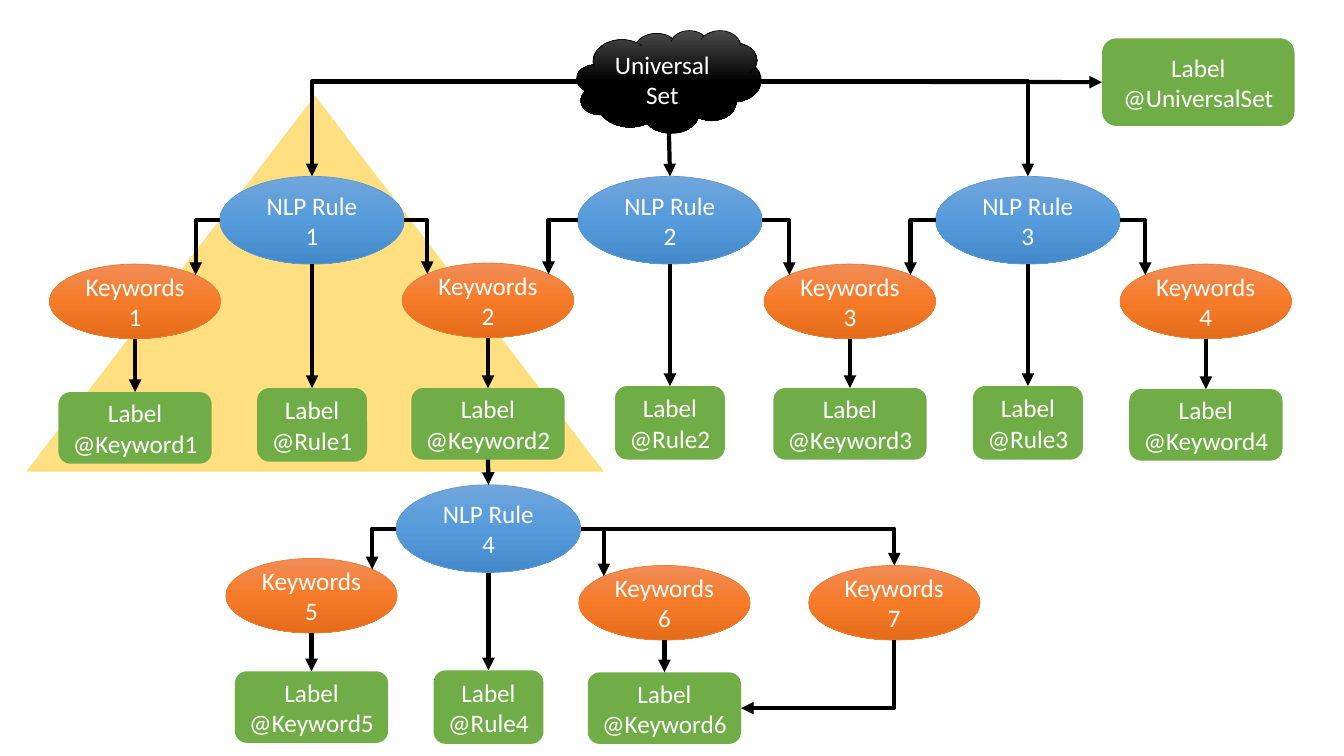
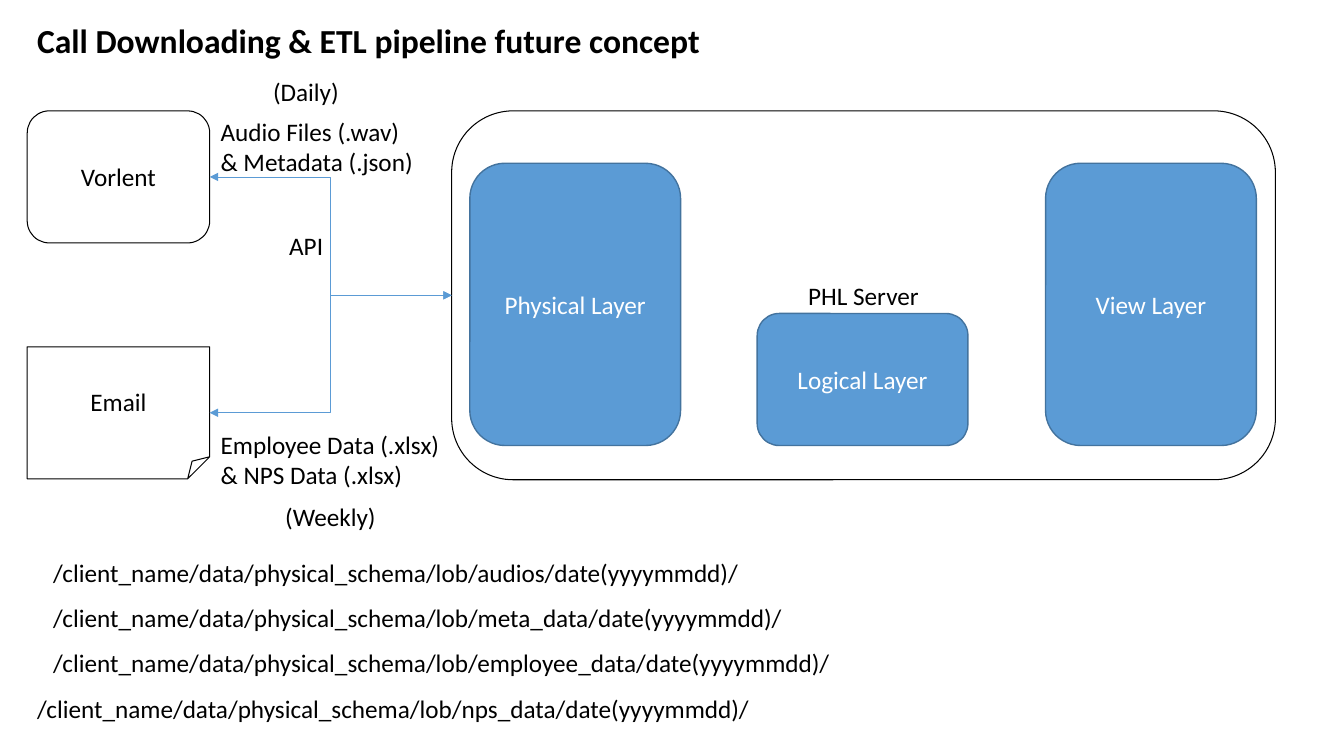
import copy
from typing import Any, NamedTuple, Optional

import lxml.etree
import pptx
import pptx.dml.color
import pptx.enum.shapes
import pptx.enum.text
import pptx.oxml.ns
import pptx.util

Inches = pptx.util.Inches
Pt = pptx.util.Pt
Form = pptx.enum.shapes.MSO_SHAPE
Link = pptx.enum.shapes.MSO_CONNECTOR
Align = pptx.enum.text.PP_ALIGN
qn = pptx.oxml.ns.qn

FONT = "Calibri"
HEX = {
    "white": "FFFFFF", "black": "000000", "gold": "FFC000",
    "green": "70AD47", "blue": "5B9BD5", "navy": "43739E", "orange": "ED7D31",
}
FADES = {
    "rule": ("71A6DB", "559BDB", "448ACA"),
    "word": ("F18C57", "F67B28", "E56C19"),
    "root": ("4B4B4B", "000000", "000000"),
}
TOP, LEFT, BOTTOM, RIGHT = range(4)
# Share of an ellipse's box that lies outside its diagonal points
INSET = (1 - 0.5 ** 0.5) / 2


class Kind(NamedTuple):
    form: Any
    wide: float
    high: float
    fill: Optional[str] = None
    line: Optional[str] = None
    weight: float = 0.5
    ink: str = "white"
    fade: Optional[str] = None


class Word(NamedTuple):
    num: int
    x: float
    y: float
    tag: Optional[float]  # top of the label below


class Rule(NamedTuple):
    num: int
    x: float
    y: float
    tag: float
    words: tuple[int, ...]


class Note(NamedTuple):
    text: str
    x: float
    y: float
    wide: float
    high: float = 0.4
    size: int = 18
    bold: bool = False
    wrap: bool = False


KINDS = {
    "rule": Kind(Form.OVAL, 1.83, 0.87, line="blue", fade="rule"),
    "word": Kind(Form.OVAL, 1.7, 0.74, line="orange", fade="word"),
    "root": Kind(Form.CLOUD, 1.83, 1.02, line="black", fade="root"),
    "top tag": Kind(Form.ROUNDED_RECTANGLE, 1.91, 0.87, "green"),
    "rule tag": Kind(Form.ROUNDED_RECTANGLE, 1.09, 0.73, "green"),
    "word tag": Kind(Form.ROUNDED_RECTANGLE, 1.52, 0.71, "green"),
    "source": Kind(Form.ROUNDED_RECTANGLE, 1.81, 1.31, None, "black", 0.75, "black"),
    "mail": Kind(Form.FOLDED_CORNER, 1.81, 1.31, None, "black", 0.75, "black"),
    "server": Kind(Form.ROUNDED_RECTANGLE, 8.17, 3.66, None, "black", 0.75, "black"),
    "tall layer": Kind(Form.ROUNDED_RECTANGLE, 2.09, 2.8, "blue", "navy", 1),
    "low layer": Kind(Form.ROUNDED_RECTANGLE, 2.09, 1.31, "blue", "navy", 1),
}

WORDS = [
    Word(1, 0.49, 2.62, 3.89), Word(2, 3.99, 2.61, 3.85),
    Word(3, 7.58, 2.62, 3.85), Word(4, 11.11, 2.62, 3.86),
    Word(5, 2.24, 5.54, 6.66), Word(6, 5.74, 5.61, 6.67),
    Word(7, 8.02, 5.61, None),
]
RULES = [
    Rule(1, 2.18, 1.75, 3.85, (1, 2)), Rule(2, 5.73, 1.75, 3.83, (2, 3)),
    Rule(3, 9.28, 1.75, 3.83, (3, 4)), Rule(4, 3.93, 4.81, 6.65, (5, 6)),
]

BASE = "/client_name/data/physical_schema/lob/"
NOTES = [
    Note("Call Downloading & ETL pipeline future concept", 0.27, 0.15, 6.84, 0.5, 24, True),
    Note("Audio Files (.wav)\n& Metadata (.json)", 2.09, 1.1, 2.13, 0.71),
    Note("Employee Data (.xlsx)\n& NPS Data (.xlsx)", 2.09, 4.21, 2.39, 0.71),
    Note("API", 2.77, 2.24, 0.54),
    Note("(Daily)", 2.61, 0.71, 0.86),
    Note("(Weekly)", 2.73, 4.92, 1.11),
] + [
    Note(f"{BASE}{name}/date(yyyymmdd)/", x, y, 7.97, wrap=True)
    for name, x, y in (
        ("audios", 0.43, 5.48), ("meta_data", 0.43, 5.93),
        ("employee_data", 0.43, 6.37), ("nps_data", 0.27, 6.83),
    )
]


def tint(name: str) -> pptx.dml.color.RGBColor:
    return pptx.dml.color.RGBColor.from_string(HEX.get(name, name))


def write(shape: Any, text: str, ink: str, size: int = 18,
          bold: bool = False, align: Any = Align.LEFT) -> None:
    frame = shape.text_frame
    frame.text = text
    for para in frame.paragraphs:
        para.alignment = align
        para.font.name = FONT
        para.font.size = Pt(size)
        para.font.bold = bold
        para.font.color.rgb = tint(ink)


def blend(shape: Any, fade: str) -> None:
    """Fill from top to bottom through three colours."""
    fill = shape.fill
    fill.gradient()
    fill.gradient_angle = 270
    stops = shape.element.spPr.find(".//" + qn("a:gsLst"))
    stops.append(copy.deepcopy(stops[-1]))
    for stop, spot, shade in zip(fill.gradient_stops, (0, 0.5, 1), FADES[fade]):
        stop.position = spot
        stop.color.rgb = tint(shade)


def place(slide: Any, name: str, text: str, x: float, y: float) -> Any:
    kind = KINDS[name]
    shape = slide.shapes.add_shape(
        kind.form, Inches(x), Inches(y), Inches(kind.wide), Inches(kind.high))
    shape.shadow.inherit = False
    if kind.fade:
        blend(shape, kind.fade)
    elif kind.fill:
        shape.fill.solid()
        shape.fill.fore_color.rgb = tint(kind.fill)
    else:
        shape.fill.background()
    if kind.line:
        shape.line.color.rgb = tint(kind.line)
        shape.line.width = Pt(kind.weight)
    else:
        shape.line.fill.background()
    write(shape, text, kind.ink, align=Align.CENTER)
    shape.text_frame.word_wrap = False
    shape.text_frame.vertical_anchor = pptx.enum.text.MSO_ANCHOR.MIDDLE
    return shape


def side(shape: Any, edge: int) -> tuple[int, int]:
    """Middle of one side of a shape's box."""
    dx, dy = ((0.5, 0), (0, 0.5), (0.5, 1), (1, 0.5))[edge]
    return int(shape.left + dx * shape.width), int(shape.top + dy * shape.height)


def join(slide: Any, start: tuple[int, int], end: tuple[int, int],
         form: Any = Link.STRAIGHT, ink: str = "black", weight: float = 3,
         tips: tuple[str, ...] = ("tailEnd",), corner: bool = False) -> Any:
    """Arrow; with corner it runs across first, then turns once."""
    wire = slide.shapes.add_connector(form, *start, *end)
    wire.line.color.rgb = tint(ink)
    wire.line.width = Pt(weight)
    props = wire.element.spPr
    if corner:
        props.find(qn("a:prstGeom")).set("prst", "bentConnector2")
    for tip in tips:
        lxml.etree.SubElement(props.find(qn("a:ln")), qn("a:" + tip), type="triangle")
    lxml.etree.SubElement(props, qn("a:effectLst"))
    return wire


def turn(slide: Any, start: tuple[int, int], end: tuple[int, int],
         tip: str = "tailEnd") -> Any:
    return join(slide, start, end, Link.ELBOW, tips=(tip,), corner=True)


def drop(slide: Any, shape: Any, tag: Any) -> None:
    join(slide, side(shape, BOTTOM), side(tag, TOP)).end_connect(tag, TOP)


def fork(slide: Any, rule: Any, word: Any) -> None:
    """Arrow from a rule's side to the near shoulder of a keyword."""
    left = word.left < rule.left
    part = 1 - INSET if left else INSET
    end = int(word.left + part * word.width), int(word.top + INSET * word.height)
    turn(slide, side(rule, LEFT if left else RIGHT), end)


def note(slide: Any, item: Note) -> None:
    box = slide.shapes.add_textbox(
        Inches(item.x), Inches(item.y), Inches(item.wide), Inches(item.high))
    box.text_frame.word_wrap = item.wrap
    box.text_frame.auto_size = pptx.enum.text.MSO_AUTO_SIZE.SHAPE_TO_FIT_TEXT
    write(box, item.text, "black", item.size, item.bold)


def draw_tree(slide: Any) -> None:
    # Highlighted branch
    peak = slide.shapes.add_shape(
        Form.ISOSCELES_TRIANGLE, Inches(0.26), Inches(0.95), Inches(5.73), Inches(3.73))
    peak.adjustments[0] = 0.5
    peak.shadow.inherit = False
    peak.fill.solid()
    peak.fill.fore_color.rgb = tint("gold")
    shade = peak.element.spPr.find(".//" + qn("a:srgbClr"))
    lxml.etree.SubElement(shade, qn("a:alpha"), val="50000")
    peak.line.fill.background()

    # Root and its label
    root = place(slide, "root", "Universal\nSet", 5.72, 0.3)
    top = place(slide, "top tag", "Label\n@UniversalSet", 10.93, 0.38)
    join(slide, side(root, RIGHT), side(top, LEFT)).end_connect(top, LEFT)

    # Keywords with their labels
    words, tags = {}, {}
    for item in WORDS:
        word = words[item.num] = place(
            slide, "word", f"Keywords\n{item.num}", item.x, item.y)
        if item.tag:
            tag = tags[item.num] = place(
                slide, "word tag", f"Label\n@Keyword{item.num}", item.x + 0.09, item.tag)
            drop(slide, word, tag)

    # Rules with their labels and keywords
    rules = {}
    for item in RULES:
        rule = rules[item.num] = place(
            slide, "rule", f"NLP Rule\n{item.num}", item.x, item.y)
        tag = place(slide, "rule tag", f"Label\n@Rule{item.num}", item.x + 0.37, item.tag)
        drop(slide, rule, tag)
        for num in item.words:
            fork(slide, rule, words[num])

    # Root to rules, and the second level
    turn(slide, side(root, LEFT), side(rules[1], TOP))
    join(slide, side(root, BOTTOM), side(rules[2], TOP))
    turn(slide, side(root, RIGHT), side(rules[3], TOP))
    join(slide, side(tags[2], BOTTOM), side(rules[4], TOP)).begin_connect(tags[2], BOTTOM)
    turn(slide, side(rules[4], RIGHT), side(words[7], TOP))
    turn(slide, side(tags[6], RIGHT), side(words[7], BOTTOM), "headEnd")


def draw_flow(slide: Any) -> None:
    # Sources feeding the server
    server = place(slide, "server", "PHL Server", 4.48, 1.1)
    calls = place(slide, "source", "Vorlent", 0.27, 1.1)
    mail = place(slide, "mail", "Email", 0.27, 3.44)
    for origin in (calls, mail):
        wire = join(slide, side(origin, RIGHT), side(server, LEFT), Link.ELBOW,
                    "blue", 0.5, ("headEnd", "tailEnd"))
        wire.begin_connect(origin, RIGHT)
        wire.end_connect(server, LEFT)

    # Layers
    place(slide, "tall layer", "Physical Layer", 4.66, 1.62)
    place(slide, "low layer", "Logical Layer", 7.51, 3.11)
    place(slide, "tall layer", "View Layer", 10.37, 1.62)

    # Title, captions and folders
    for item in NOTES:
        note(slide, item)


def main() -> None:
    deck = pptx.Presentation()
    deck.slide_width, deck.slide_height = Inches(13.33), Inches(7.5)
    for draw in (draw_tree, draw_flow):
        draw(deck.slides.add_slide(deck.slide_layouts[6]))
    deck.save("out.pptx")


if __name__ == "__main__":
    main()
